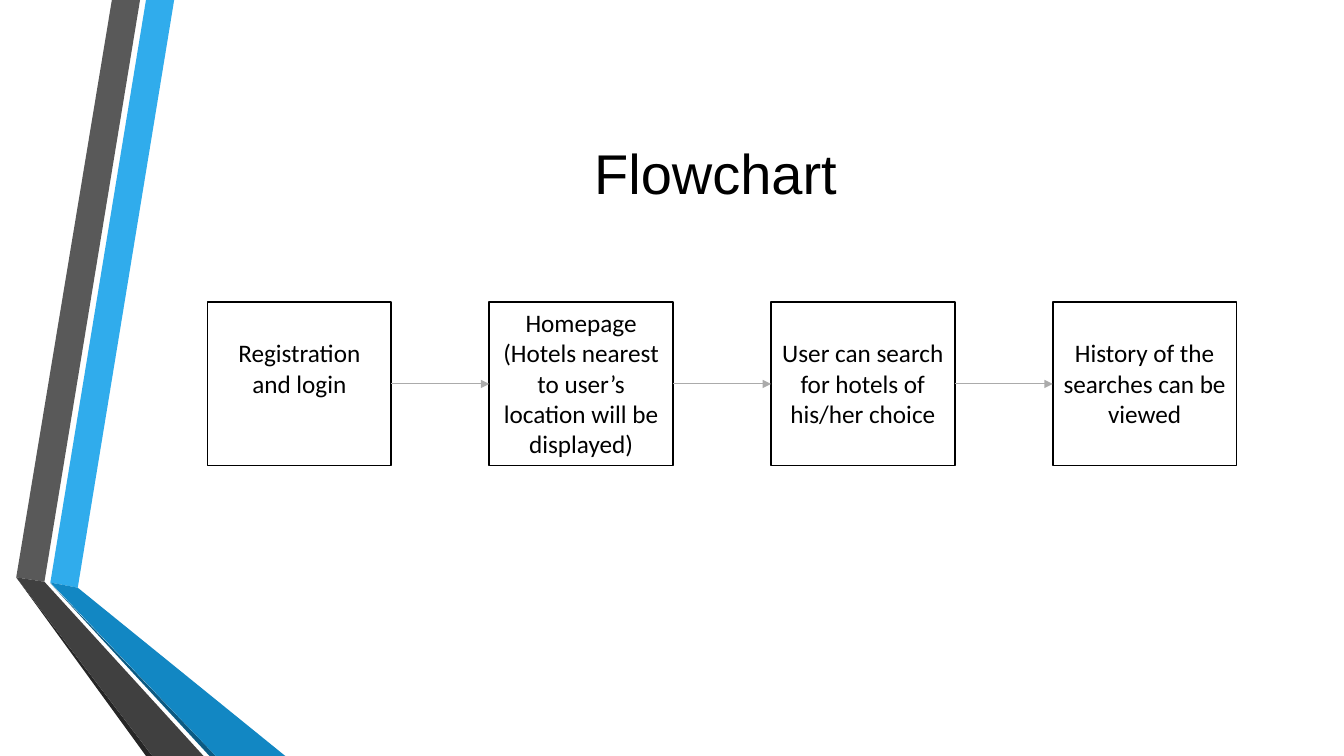
"""Build a flowchart slide with four linked steps and a folded ribbon on the left."""
import pptx
import pptx.dml.color
import pptx.enum.shapes
import pptx.enum.text
import pptx.oxml
import pptx.oxml.ns
import pptx.util

Cm = pptx.util.Cm
Pt = pptx.util.Pt
RGB = pptx.dml.color.RGBColor.from_string
CENTER = pptx.enum.text.PP_ALIGN.CENTER

THEME = {
    "text": "000000", "box": "FFFFFF", "border": "000000", "arrow": "ABABAB",
    "blue": "30ACEC", "blue_fold": "1287C3", "blue_edge": "0C5A82",
    "grey": "595959", "grey_fold": "404040", "grey_edge": "262626",
    "title_font": "Arial", "title_size": 40,
    "body_font": "Calibri", "body_size": 18,
}


def add_text(p, text, kind):
    p.alignment = CENTER
    r = p.add_run()
    r.text = text
    r.font.name = THEME[kind + "_font"]
    r.font.size = Pt(THEME[kind + "_size"])
    r.font.color.rgb = RGB(THEME["text"])


prs = pptx.Presentation()
prs.slide_width, prs.slide_height = Cm(33.87), Cm(19.05)
s = prs.slides.add_slide(prs.slide_layouts[5])

ribbons = [
    ("blue", [(1.27, 14.68), (1.96, 14.81), (4.39, 0), (3.68, 0)]),
    ("grey", [(3.53, 0), (2.82, 0), (0.41, 14.55), (1.12, 14.66)]),
    ("grey_edge", [(0.41, 14.55), (3.68, 19.05), (3.84, 19.05)]),
    ("blue_edge", [(1.27, 14.7), (5.28, 19.05), (5.44, 19.05)]),
    ("blue_fold", [(1.27, 14.68), (5.44, 19.05), (7.19, 19.05), (1.96, 14.81)]),
    ("grey_fold", [(5.13, 19.05), (1.12, 14.66), (0.41, 14.55), (3.84, 19.05)]),
]
for color, points in ribbons:
    corners = [(Cm(x), Cm(y)) for x, y in points]
    builder = s.shapes.build_freeform(*corners[0])
    builder.add_line_segments(corners[1:], close=True)
    sp = builder.convert_to_shape()
    sp.shadow.inherit = False
    sp.fill.solid()
    sp.fill.fore_color.rgb = RGB(THEME[color])
    sp.line.fill.background()

title = s.shapes.title
title.left, title.top, title.width, title.height = Cm(4.11), Cm(1.9), Cm(27.84), Cm(4.88)
title.text_frame.vertical_anchor = pptx.enum.text.MSO_ANCHOR.MIDDLE
add_text(title.text_frame.paragraphs[0], "Flowchart", "title")

LEFT, TOP, WIDTH, HEIGHT, PITCH = 5.23, 7.62, 4.63, 4.11, 7.1
steps = [
    (["Registration", "and login"], 0.89),
    (["Homepage (Hotels nearest to user’s location will be displayed)"], 0.13),
    (["User can search for hotels of his/her choice"], 0.89),
    (["History of the searches can be viewed"], 0.89),
]
boxes = []
for i, (lines, inset) in enumerate(steps):
    sp = s.shapes.add_shape(
        pptx.enum.shapes.MSO_SHAPE.RECTANGLE,
        Cm(LEFT + i * PITCH), Cm(TOP), Cm(WIDTH), Cm(HEIGHT))
    sp.shadow.inherit = False
    sp.fill.solid()
    sp.fill.fore_color.rgb = RGB(THEME["box"])
    sp.line.color.rgb = RGB(THEME["border"])
    sp.line.width = Pt(1.25)
    tf = sp.text_frame
    tf.word_wrap = True
    tf.vertical_anchor = pptx.enum.text.MSO_ANCHOR.TOP
    tf.margin_top = Cm(inset)
    for n, line in enumerate(lines):
        p = tf.add_paragraph() if n else tf.paragraphs[0]
        add_text(p, line, "body")
    boxes.append(sp)

for start, end in zip(boxes, boxes[1:]):
    middle = start.top + start.height // 2
    arrow = s.shapes.add_connector(
        pptx.enum.shapes.MSO_CONNECTOR.STRAIGHT,
        start.left + start.width, middle, end.left, middle)
    arrow.begin_connect(start, 3)
    arrow.end_connect(end, 1)
    arrow.line.color.rgb = RGB(THEME["arrow"])
    arrow.line.width = Pt(0.75)
    ln = arrow.line._get_or_add_ln()
    ln.append(pptx.oxml.parse_xml(
        f'<a:tailEnd {pptx.oxml.ns.nsdecls("a")} type="triangle"/>'))
    ln.addnext(pptx.oxml.parse_xml(f'<a:effectLst {pptx.oxml.ns.nsdecls("a")}/>'))

prs.save("out.pptx")
